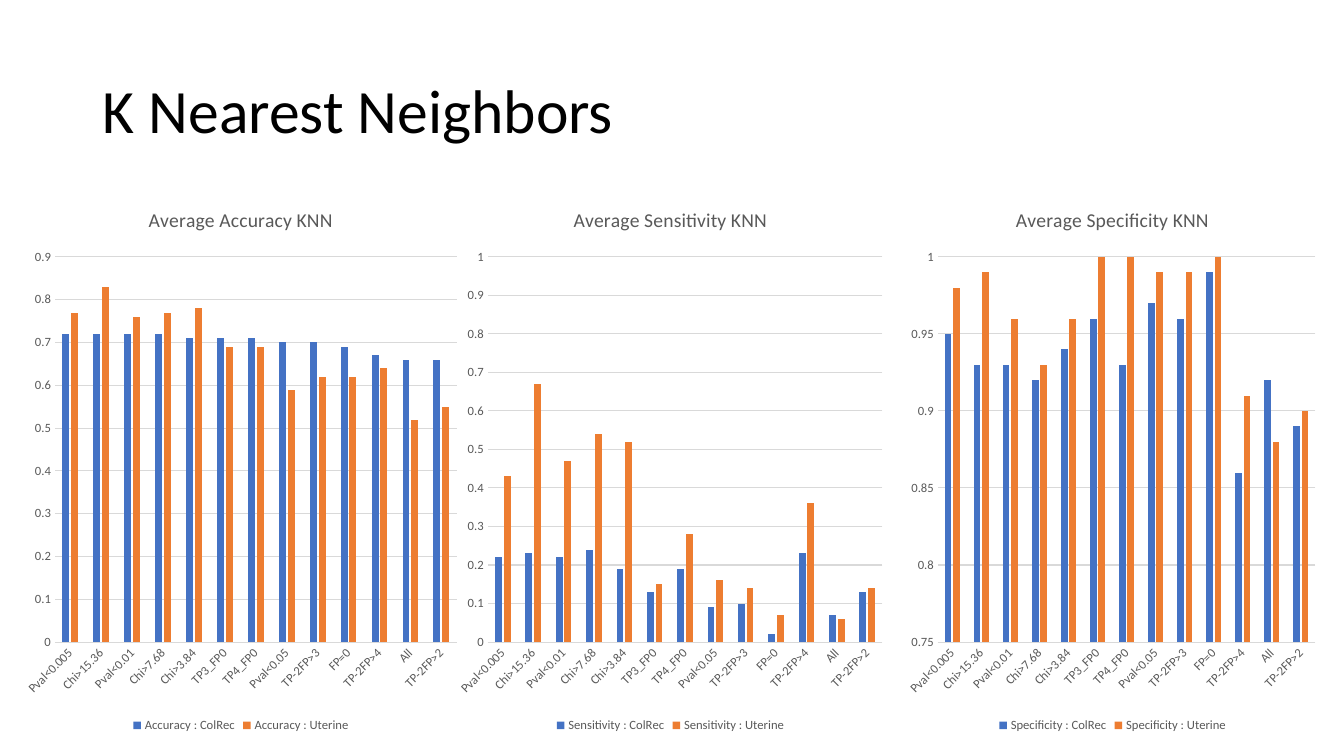
import lxml.etree
import pptx
import pptx.chart.data
import pptx.dml.color
import pptx.enum.chart
import pptx.enum.text
import pptx.oxml
import pptx.util

Inches, Pt = pptx.util.Inches, pptx.util.Pt
GRAY, GRID = "595959", "D9D9D9"
SERIES_COLORS = {"ColRec": "4472C4", "Uterine": "ED7D31"}
CATEGORIES = ["Pval<0.005", "Chi>15.36", "Pval<0.01", "Chi>7.68", "Chi>3.84",
              "TP3_FP0", "TP4_FP0", "Pval<0.05", "TP-2FP>3", "FP=0",
              "TP-2FP>4", "All", "TP-2FP>2"]
CHART_TOP, CHART_HEIGHT = Inches(1.85), Inches(5.46)
PLOT_SHARES = {"x": 0.088, "y": 0.128, "w": 0.89, "h": 0.7}

# measure, left, width, axis minimum, axis maximum, axis step, ColRec, Uterine
CHARTS = [
    ("Accuracy", 0.15, 4.48, 0, 0.9, 0.1,
     [0.72, 0.72, 0.72, 0.72, 0.71, 0.71, 0.71, 0.7, 0.7, 0.69, 0.67, 0.66, 0.66],
     [0.77, 0.83, 0.76, 0.77, 0.78, 0.69, 0.69, 0.59, 0.62, 0.62, 0.64, 0.52, 0.55]),
    ("Sensitivity", 4.45, 4.4, 0, 1, 0.1,
     [0.22, 0.23, 0.22, 0.24, 0.19, 0.13, 0.19, 0.09, 0.1, 0.02, 0.23, 0.07, 0.13],
     [0.43, 0.67, 0.47, 0.54, 0.52, 0.15, 0.28, 0.16, 0.14, 0.07, 0.36, 0.06, 0.14]),
    ("Specificity", 8.93, 4.21, 0.75, 1, 0.05,
     [0.95, 0.93, 0.93, 0.92, 0.94, 0.96, 0.93, 0.97, 0.96, 0.99, 0.86, 0.92, 0.89],
     [0.98, 0.99, 0.96, 0.93, 0.96, 1, 1, 0.99, 0.99, 1, 0.91, 0.88, 0.9]),
]


def rgb(color):
    return pptx.dml.color.RGBColor.from_string(color)


def set_font(font, size, color):
    font.name, font.size, font.bold = "Calibri", Pt(size), False
    font.color.rgb = rgb(color)


deck = pptx.Presentation()
deck.slide_width, deck.slide_height = Inches(13.33), Inches(7.5)
page = deck.slides.add_slide(deck.slide_layouts.get_by_name("Title Only"))

title = page.shapes.title
title.left, title.top = Inches(0.92), Inches(0.4)
title.width, title.height = Inches(11.5), Inches(1.45)
title.text_frame.text = "K Nearest Neighbors"
title.text_frame.vertical_anchor = pptx.enum.text.MSO_ANCHOR.MIDDLE
para = title.text_frame.paragraphs[0]
para.alignment = pptx.enum.text.PP_ALIGN.LEFT
para.line_spacing = 0.9
set_font(para.font, 44, "000000")

for measure, left, width, minimum, maximum, step, colrec, uterine in CHARTS:
    data = pptx.chart.data.CategoryChartData()
    data.categories = CATEGORIES
    for group, values in zip(SERIES_COLORS, (colrec, uterine)):
        data.add_series(f"{measure} : {group}", values)
    chart = page.shapes.add_chart(
        pptx.enum.chart.XL_CHART_TYPE.COLUMN_CLUSTERED,
        Inches(left), CHART_TOP, Inches(width), CHART_HEIGHT, data).chart
    set_font(chart.font, 10, "000000")

    chart.has_title = True
    chart.chart_title.text_frame.text = f"Average {measure} KNN"
    set_font(chart.chart_title.text_frame.paragraphs[0].font, 14, GRAY)
    chart.chart_title.include_in_layout = False

    chart.has_legend = True
    chart.legend.position = pptx.enum.chart.XL_LEGEND_POSITION.BOTTOM
    chart.legend.include_in_layout = False
    set_font(chart.legend.font, 9, GRAY)

    plot = chart.plots[0]
    plot.gap_width, plot.overlap, plot.vary_by_categories = 219, -27, False
    for series, color in zip(plot.series, SERIES_COLORS.values()):
        series.format.fill.solid()
        series.format.fill.fore_color.rgb = rgb(color)

    for axis in (chart.category_axis, chart.value_axis):
        axis.major_tick_mark = pptx.enum.chart.XL_TICK_MARK.NONE
        axis.minor_tick_mark = pptx.enum.chart.XL_TICK_MARK.NONE
        set_font(axis.tick_labels.font, 9, GRAY)
    chart.value_axis.minimum_scale = minimum
    chart.value_axis.maximum_scale = maximum
    chart.value_axis.major_unit = step
    chart.value_axis.format.line.fill.background()
    for line in (chart.category_axis.format.line,
                 chart.value_axis.major_gridlines.format.line):
        line.color.rgb = rgb(GRID)
        line.width = Pt(0.75)

    # Slanted category labels and a fixed inner plot area
    label_body = chart.element.xpath(".//c:catAx/c:txPr/a:bodyPr")[0]
    label_body.set("rot", "-2700000")
    plot_area = chart.element.xpath(".//c:plotArea")[0]
    for layout in plot_area.xpath("c:layout"):
        plot_area.remove(layout)
    settings = {"layoutTarget": "inner", "xMode": "edge", "yMode": "edge", **PLOT_SHARES}
    layout = lxml.etree.Element(pptx.oxml.ns.qn("c:layout"))
    manual = lxml.etree.SubElement(layout, pptx.oxml.ns.qn("c:manualLayout"))
    for name, value in settings.items():
        lxml.etree.SubElement(manual, pptx.oxml.ns.qn(f"c:{name}")).set("val", str(value))
    plot_area.insert(0, layout)

deck.save("out.pptx")
